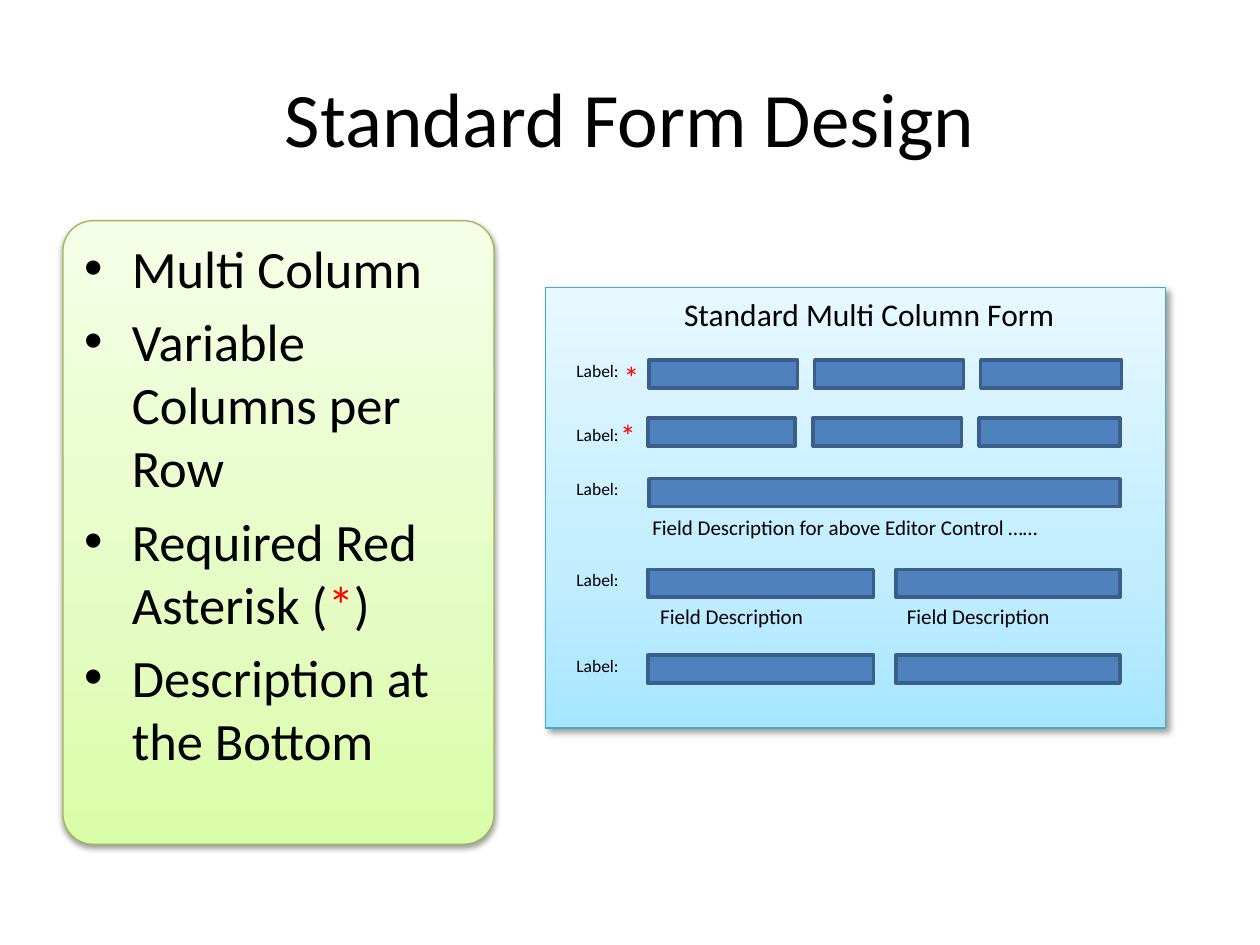
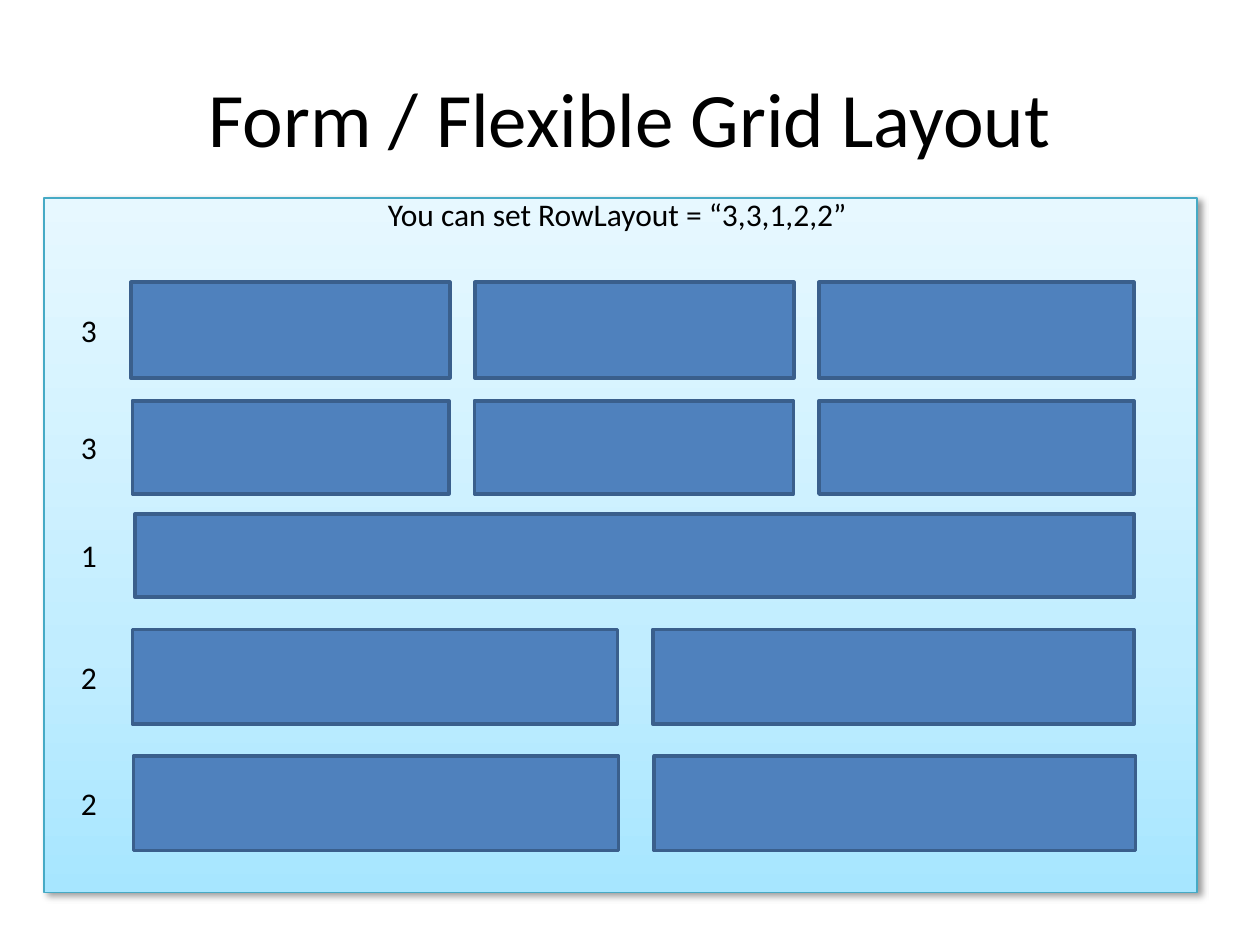
from dataclasses import dataclass

from lxml import etree
from pptx import Presentation
from pptx import util as u
from pptx.dml.color import RGBColor
from pptx.enum import shapes, text
from pptx.oxml import ns

Cm, Pt = u.Cm, u.Pt
FONT = "Calibri"
COLORS = {
    "ink": "000000",
    "required": "FF0000",
    "field": "4F81BD",
    "field_line": "3A5F8C",
    "form_line": "46AAC5",
    "list_line": "98B955",
}
FORM_STOPS = ((0, "A7E6FF"), (35, "C1EDFF"), (100, "E7F8FF"))
LIST_STOPS = ((0, "DAFDA7"), (35, "E4FCC2"), (100, "F5FFE7"))


@dataclass(frozen=True)
class Box:
    left: float
    top: float
    width: float
    height: float

    def lengths(self):
        return Cm(self.left), Cm(self.top), Cm(self.width), Cm(self.height)


@dataclass(frozen=True)
class Shadow:
    alpha: int
    blur: float
    distance: float
    direction: int


@dataclass(frozen=True)
class FieldRow:
    label: str
    left: float
    right: float
    top: float
    height: float
    widths: tuple[float, ...]
    label_shift: float = 0

    def boxes(self) -> list[Box]:
        gaps = max(len(self.widths) - 1, 1)
        gap = (self.right - self.left - sum(self.widths)) / gaps
        return [
            Box(self.left + sum(self.widths[:i]) + i * gap, self.top, width, self.height)
            for i, width in enumerate(self.widths)
        ]

    def label_top(self, label_height: float) -> float:
        return self.top + (self.height - label_height) / 2 + self.label_shift


@dataclass(frozen=True)
class Caption:
    text: str
    box: Box
    size: int = 18
    color: str = "ink"
    align: text.PP_ALIGN = text.PP_ALIGN.LEFT
    inset: float = 0.25
    anchor: text.MSO_ANCHOR = text.MSO_ANCHOR.TOP


FORM_SHADOW = Shadow(40, 4, 3, 45)
LIST_SHADOW = Shadow(38, 3.1, 1.6, 90)

FORM_ROWS = (
    FieldRow("Label:", 13.08, 22.61, 7.26, 0.56, (3.0, 3.0, 2.84)),
    FieldRow("Label:", 13.06, 22.58, 8.43, 0.56, (2.97, 3.0, 2.84), 0.13),
    FieldRow("Label:", 13.08, 22.58, 9.65, 0.56, (9.5,)),
    FieldRow("Label:", 13.06, 22.58, 11.48, 0.56, (4.55, 4.52)),
    FieldRow("Label:", 13.06, 22.58, 13.21, 0.56, (4.55, 4.52)),
)
FORM_CAPTIONS = (
    Caption("Standard Multi Column Form", Box(13.54, 5.82, 8.05, 1.02)),
    Caption("Field Description for above Editor Control ……", Box(12.9, 10.24, 9.5, 0.76), 12),
    Caption("Field Description", Box(13.06, 12.04, 4.55, 0.76), 12),
    Caption("Field Description", Box(18.03, 12.04, 4.55, 0.76), 12),
    Caption("*", Box(12.57, 7.09, 0.23, 1.02), color="required", inset=0),
    Caption("*", Box(12.5, 8.26, 0.23, 1.02), color="required", inset=0),
)
GRID_ROWS = (
    FieldRow("3", 2.64, 22.86, 5.69, 1.93, (6.43, 6.43, 6.35)),
    FieldRow("3", 2.67, 22.86, 8.08, 1.88, (6.38, 6.43, 6.35)),
    FieldRow("1", 2.72, 22.86, 10.36, 1.68, (20.14,)),
    FieldRow("2", 2.67, 22.86, 12.69, 1.91, (9.78, 9.7)),
    FieldRow("2", 2.69, 22.89, 15.24, 1.91, (9.78, 9.7)),
)
BULLETS = (
    (("Multi Column", "ink"),),
    (("Variable Columns per Row", "ink"),),
    (("Required Red Asterisk (", "ink"), ("*", "required"), (")", "ink")),
    (("Description at the Bottom", "ink"),),
)


def rgb(name: str) -> RGBColor:
    return RGBColor.from_string(COLORS[name])


def add_child(parent, tag: str, **attributes):
    values = {key: str(value) for key, value in attributes.items()}
    return etree.SubElement(parent, ns.qn(tag), values)


def add_box(slide, box: Box, line: str, line_width: float, preset=shapes.MSO_SHAPE.RECTANGLE):
    shape = slide.shapes.add_shape(preset, *box.lengths())
    shape.shadow.inherit = False
    shape.line.color.rgb = rgb(line)
    shape.line.width = Pt(line_width)
    return shape


def add_panel(slide, box: Box, line: str, stops, shadow: Shadow, preset=shapes.MSO_SHAPE.RECTANGLE):
    shape = add_box(slide, box, line, 0.75, preset)
    shape.fill.gradient()
    shape.fill.gradient_angle = 90
    properties = shape._element.spPr
    stop_list = properties.find(".//" + ns.qn("a:gsLst"))
    for stop in list(stop_list):
        stop_list.remove(stop)
    for position, color in stops:
        stop = add_child(stop_list, "a:gs", pos=position * 1000)
        add_child(stop, "a:srgbClr", val=color)
    outer = add_child(
        properties.find(ns.qn("a:effectLst")), "a:outerShdw",
        blurRad=Pt(shadow.blur), dist=Pt(shadow.distance),
        dir=shadow.direction * 60000, rotWithShape=0,
    )
    color = add_child(outer, "a:srgbClr", val=COLORS["ink"])
    add_child(color, "a:alpha", val=shadow.alpha * 1000)
    return shape


def add_caption(slide, caption: Caption) -> None:
    frame = slide.shapes.add_textbox(*caption.box.lengths()).text_frame
    frame.word_wrap = True
    frame.vertical_anchor = caption.anchor
    frame.margin_left = frame.margin_right = Cm(caption.inset)
    paragraph = frame.paragraphs[0]
    paragraph.text = caption.text
    paragraph.alignment = caption.align
    paragraph.font.name = FONT
    paragraph.font.size = Pt(caption.size)
    paragraph.font.color.rgb = rgb(caption.color)


def add_title(slide, title: str) -> None:
    add_caption(slide, Caption(
        title, Box(1.27, 0.76, 22.86, 3.18), 44,
        align=text.PP_ALIGN.CENTER, anchor=text.MSO_ANCHOR.MIDDLE,
    ))


def add_form(slide, box: Box, rows: tuple[FieldRow, ...]) -> None:
    add_panel(slide, box, "form_line", FORM_STOPS, FORM_SHADOW)
    for row in rows:
        for field_box in row.boxes():
            field = add_box(slide, field_box, "field_line", 2)
            field.fill.solid()
            field.fill.fore_color.rgb = rgb("field")


def add_bullet_list(slide) -> None:
    panel = add_panel(
        slide, Box(1.27, 4.45, 8.69, 12.57), "list_line", LIST_STOPS, LIST_SHADOW,
        shapes.MSO_SHAPE.ROUNDED_RECTANGLE,
    )
    panel.adjustments[0] = 0.07
    frame = panel.text_frame
    frame.word_wrap = True
    frame.vertical_anchor = text.MSO_ANCHOR.TOP
    for i, runs in enumerate(BULLETS):
        paragraph = frame.add_paragraph() if i else frame.paragraphs[0]
        paragraph.alignment = text.PP_ALIGN.LEFT
        paragraph.space_before = Pt(6)
        paragraph.font.name = FONT
        paragraph.font.size = Pt(30)
        for words, color in runs:
            run = paragraph.add_run()
            run.text = words
            run.font.color.rgb = rgb(color)
        properties = paragraph._p.get_or_add_pPr()
        properties.set("marL", str(Cm(0.96)))
        properties.set("indent", str(Cm(-0.96)))
        bullet_font = etree.Element(ns.qn("a:buFont"), typeface="Arial")
        bullet = etree.Element(ns.qn("a:buChar"), char="•")
        defaults = properties.find(ns.qn("a:defRPr"))
        defaults.addprevious(bullet_font)
        defaults.addprevious(bullet)


def build_standard_form(slide) -> None:
    add_title(slide, "Standard Form Design")
    add_bullet_list(slide)
    add_form(slide, Box(11, 5.79, 12.5, 8.89), FORM_ROWS)
    for row in FORM_ROWS:
        label_box = Box(11, row.label_top(0.82), 1.72, 0.69)
        add_caption(slide, Caption(row.label, label_box, 10, align=text.PP_ALIGN.RIGHT))
    for caption in FORM_CAPTIONS:
        add_caption(slide, caption)


def build_grid_layout(slide) -> None:
    add_title(slide, "Form / Flexible Grid Layout")
    add_form(slide, Box(0.89, 3.99, 23.24, 14), GRID_ROWS)
    add_caption(slide, Caption(
        "You can set RowLayout = “3,3,1,2,2”", Box(4.19, 3.81, 16.51, 1.02),
        align=text.PP_ALIGN.CENTER,
    ))
    for row in GRID_ROWS:
        label_box = Box(1.57, row.label_top(1.02), 0.43, 1.02)
        add_caption(slide, Caption(row.label, label_box, inset=0.05, align=text.PP_ALIGN.RIGHT))


def main() -> None:
    presentation = Presentation()
    presentation.slide_width = Cm(25.4)
    presentation.slide_height = Cm(19.05)
    for build in (build_standard_form, build_grid_layout):
        build(presentation.slides.add_slide(presentation.slide_layouts[6]))
    presentation.save("out.pptx")


if __name__ == "__main__":
    main()
